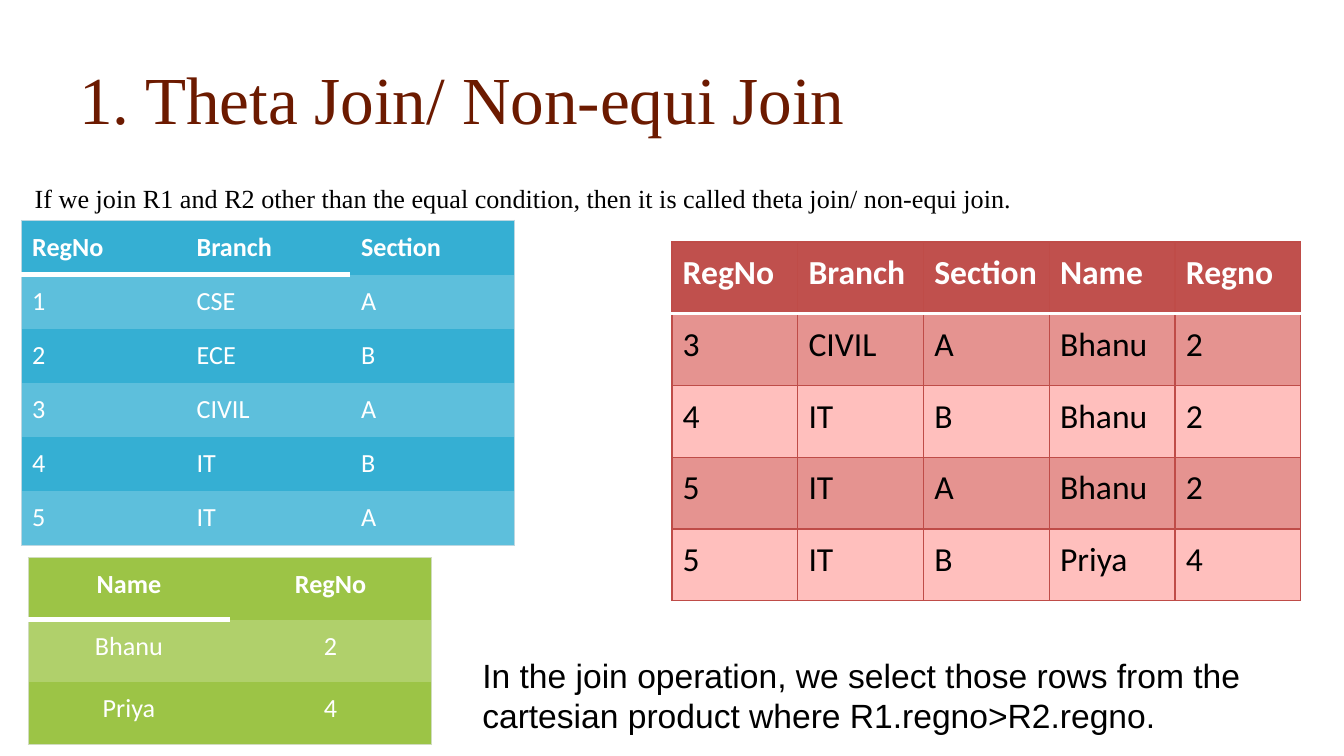
from lxml.etree import SubElement
from pptx import Presentation
from pptx.dml.color import RGBColor
from pptx.enum.text import MSO_ANCHOR as Anchor, PP_ALIGN as Align
from pptx.oxml.ns import qn
from pptx.util import Inches, Pt

WHITE = RGBColor(0xFF, 0xFF, 0xFF)
BLACK = RGBColor(0x00, 0x00, 0x00)
BROWN = RGBColor(0x6C, 0x1A, 0x00)
BLUE = RGBColor(0x35, 0xAF, 0xD3)
LIGHT_BLUE = RGBColor(0x5D, 0xBF, 0xDC)
BLUE_EDGE = RGBColor(0xBC, 0xD7, 0xE1)
GREEN = RGBColor(0x9C, 0xC4, 0x46)
LIGHT_GREEN = RGBColor(0xB0, 0xD0, 0x6B)
GREEN_EDGE = RGBColor(0xD0, 0xDC, 0xBF)
RED = RGBColor(0xC0, 0x50, 0x4D)
MID_RED = RGBColor(0xE5, 0x93, 0x90)
LIGHT_RED = RGBColor(0xFF, 0xBF, 0xBD)
RED_EDGE = RGBColor(0xBF, 0x4C, 0x48)
PLAIN_STYLE = "{2D5ABB26-0587-4C30-8999-92F81FD0307C}"

STUDENTS = [
    ("RegNo", "Branch", "Section"),
    ("1", "CSE", "A"),
    ("2", "ECE", "B"),
    ("3", "CIVIL", "A"),
    ("4", "IT", "B"),
    ("5", "IT", "A"),
]
NAMES = [("Name", "RegNo"), ("Bhanu", "2"), ("Priya", "4")]
JOINED = [
    ("RegNo", "Branch", "Section", "Name", "Regno"),
    ("3", "CIVIL", "A", "Bhanu", "2"),
    ("4", "IT", "B", "Bhanu", "2"),
    ("5", "IT", "A", "Bhanu", "2"),
    ("5", "IT", "B", "Priya", "4"),
]


def write_text(frame, text, size=14, font="Calibri", color=BLACK, bold=False,
               align=Align.LEFT, space_before=0):
    """Write one formatted paragraph into a text frame."""
    frame.word_wrap = True
    paragraph = frame.paragraphs[0]
    paragraph.alignment = align
    paragraph.space_before = Pt(space_before)
    run = paragraph.add_run()
    run.text = text
    run.font.size = Pt(size)
    run.font.name = font
    run.font.bold = bold
    run.font.color.rgb = color


def add_text(slide, box, text, anchor=Anchor.TOP, **text_format):
    """Add a wrapped text box at the given box."""
    shape = slide.shapes.add_textbox(*map(Inches, box))
    shape.text_frame.vertical_anchor = anchor
    write_text(shape.text_frame, text, **text_format)


def set_border(cell, side, line):
    """Draw one cell border from a colour and width, or hide it."""
    properties = cell._tc.get_or_add_tcPr()
    border = SubElement(properties, qn(f"a:ln{side}"))
    if line is None:
        SubElement(border, qn("a:noFill"))
        return
    color, width = line
    border.set("w", str(Pt(width)))
    fill = SubElement(border, qn("a:solidFill"))
    SubElement(fill, qn("a:srgbClr")).set("val", str(color))


def add_relation(slide, box, rows, fills, edge, rule_width, ruled_columns,
                 grid=False, body_color=WHITE, size=14, align=Align.LEFT):
    """Add a relation table with a header, alternating rows and a header rule."""
    row_count, column_count = len(rows), len(rows[0])
    frame = slide.shapes.add_table(row_count, column_count, *map(Inches, box))
    table = frame.table
    table.first_row = table.horz_banding = False
    table._tbl.tblPr.find(qn("a:tableStyleId")).text = PLAIN_STYLE
    for column in table.columns:
        column.width = Inches(box[2] / column_count)
    for row in table.rows:
        row.height = Inches(box[3] / row_count)
    header_fill, odd_fill, even_fill = fills
    outline, rule = (edge, 0.75), (WHITE, rule_width)
    inner = outline if grid else None
    for i, row in enumerate(rows):
        for j, text in enumerate(row):
            cell = table.cell(i, j)
            ruled = rule if j < ruled_columns else inner
            set_border(cell, "L", outline if j == 0 else inner)
            set_border(cell, "R", outline if j == column_count - 1 else inner)
            set_border(cell, "T", outline if i == 0 else ruled if i == 1 else inner)
            set_border(cell, "B", outline if i == row_count - 1 else ruled if i == 0 else inner)
            cell.fill.solid()
            cell.fill.fore_color.rgb = header_fill if i == 0 else odd_fill if i % 2 else even_fill
            cell.margin_left = cell.margin_right = Inches(0.08)
            cell.margin_top = cell.margin_bottom = Inches(0.08)
            write_text(cell.text_frame, text, size=size, bold=i == 0, align=align,
                       color=WHITE if i == 0 else body_color)


def build_join_slide(presentation):
    """Build the theta join slide."""
    slide = presentation.slides.add_slide(presentation.slide_layouts[6])
    add_text(slide, (0.49, 0.31, 9.02, 0.84), "1. Theta Join/ Non-equi Join",
             anchor=Anchor.MIDDLE, size=36, font="Times New Roman", color=BROWN)
    add_text(slide, (0.16, 1.31, 9.35, 4.31),
             "If we join R1 and R2 other than the equal condition, "
             "then it is called theta join/ non-equi join.",
             font="Times New Roman", space_before=2.8)
    add_relation(slide, (0.16, 1.64, 3.67, 2.42), STUDENTS, (BLUE, LIGHT_BLUE, BLUE),
                 BLUE_EDGE, rule_width=3, ruled_columns=2)
    add_relation(slide, (0.21, 4.15, 3, 1.39), NAMES, (GREEN, LIGHT_GREEN, GREEN),
                 GREEN_EDGE, rule_width=3, ruled_columns=1, align=Align.CENTER)
    add_relation(slide, (5, 1.8, 4.68, 2.67), JOINED, (RED, MID_RED, LIGHT_RED),
                 RED_EDGE, rule_width=2, ruled_columns=5, grid=True,
                 body_color=BLACK, size=18)
    add_text(slide, (3.49, 4.82, 6.51, 0.71),
             "In the join operation, we select those rows from the "
             "cartesian product where R1.regno>R2.regno.",
             size=18, font="Arial")


def main():
    """Create and save the presentation."""
    presentation = Presentation()
    presentation.slide_width = Inches(10)
    presentation.slide_height = presentation.slide_width * 9 // 16
    build_join_slide(presentation)
    presentation.save("out.pptx")


if __name__ == "__main__":
    main()
